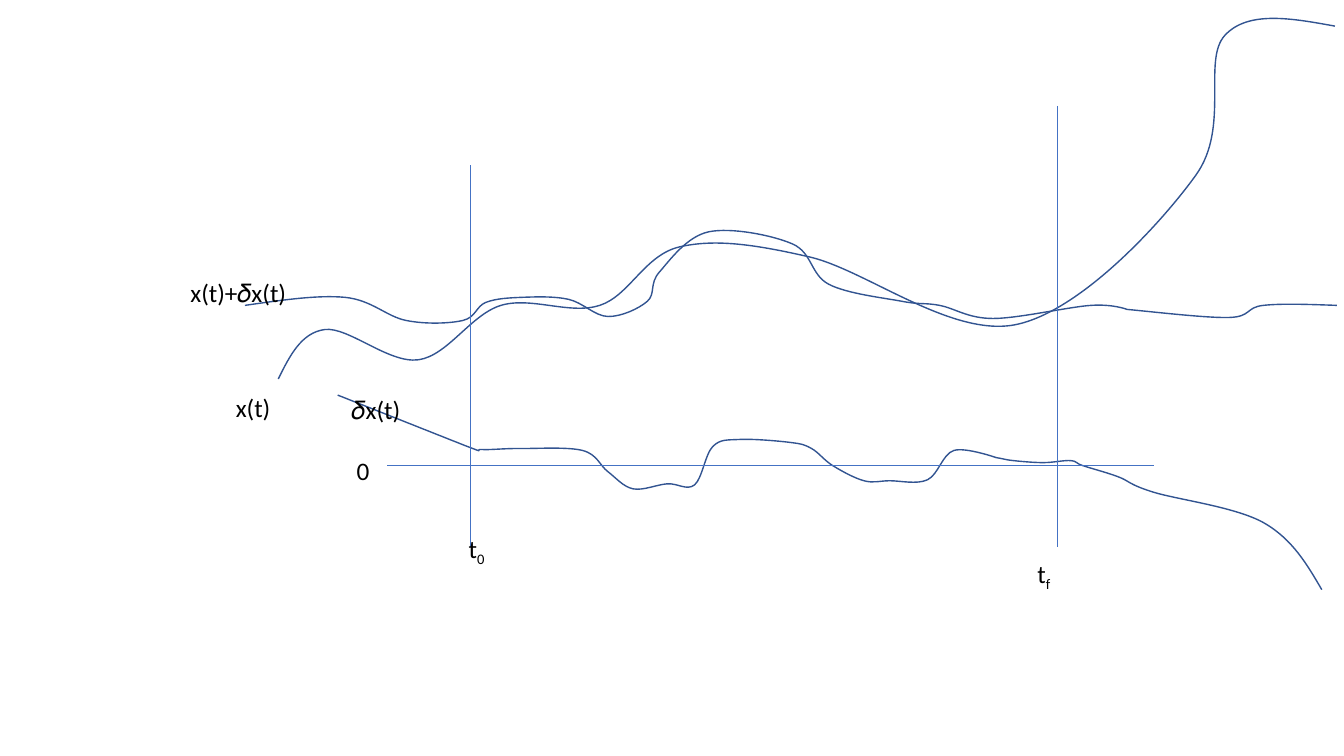
from pptx import Presentation
from pptx.dml.color import RGBColor
from pptx.enum.shapes import MSO_CONNECTOR as Connector
from pptx.enum.text import MSO_AUTO_SIZE as AutoSize
from pptx.oxml.xmlchemy import OxmlElement
from pptx.util import Inches, Pt

COLORS = {"axis": "4472C4", "curve": "325491", "text": "000000"}
FONT = "Calibri"
COLUMNS, ROWS = 1333, 750

STATE = [
    (276, 376), (322, 327), (415, 357), (497, 303), (595, 303), (674, 245),
    (803, 255), (1008, 322), (1186, 174), (1215, 35), (1324, 26),
]
PERTURBED_STATE = [
    (243, 303), (342, 295), (403, 318), (459, 318), (482, 300), (518, 295),
    (564, 297), (603, 314), (642, 299), (654, 270), (703, 230), (786, 242),
    (822, 282), (895, 299), (932, 303), (985, 316), (1082, 303), (1118, 307),
    (1219, 315), (1253, 303), (1326, 303),
]
PERTURBATION = [
    (335, 392), (461, 442), (478, 446), (516, 445), (578, 447), (603, 468),
    (628, 485), (662, 480), (689, 481), (707, 443), (734, 436), (784, 439),
    (805, 445), (826, 462), (857, 477), (882, 477), (920, 476), (946, 447),
    (988, 454), (1005, 457), (1035, 459), (1062, 457), (1074, 462),
    (1109, 473), (1143, 488), (1254, 519), (1311, 585),
]
CURVES = [
    (STATE, []),
    (PERTURBED_STATE, [(1118, 307)]),
    (PERTURBATION, [(461, 442), (988, 454)]),
]
AXES = [
    ((466.5, 164), (466.5, 543)),
    ((1049, 105), (1049, 543)),
    ((384, 462), (1145, 462)),
]
LABELS = [
    ("t", "0", 455, 524, 37),
    ("t", "f", 1019, 549, 34),
    ("x(t)", "", 224, 384, 55),
    ("x(t)+𝛿x(t)", "", 179, 270, 122),
    ("𝛿x(t)", "", 339, 386, 74),
    ("0", "", 344, 447, 33),
]
LABEL_HEIGHT = 40


def add_text(slide, text, left, top, width, height, subscript="", size=18, color="text"):
    shape = slide.shapes.add_textbox(left, top, width, height)
    frame = shape.text_frame
    frame.word_wrap = False
    frame.auto_size = AutoSize.SHAPE_TO_FIT_TEXT
    paragraph = frame.paragraphs[0]
    for part, baseline in ((text, 0), (subscript, -25000)):
        if not part:
            continue
        run = paragraph.add_run()
        run.text = part
        run.font.name = FONT
        run.font.size = Pt(size)
        run.font.color.rgb = RGBColor.from_string(COLORS[color])
        if baseline:
            run._r.get_or_add_rPr().set("baseline", str(baseline))


def set_line(shape, color, width):
    shape.line.color.rgb = RGBColor.from_string(COLORS[color])
    shape.line.width = Pt(width)


def midpoint(first, second):
    return (first[0] + second[0]) / 2, (first[1] + second[1]) / 2


def handle(knots, index, direction):
    before, knot, after = knots[index - 1:index + 2]
    return tuple(k + direction * (a - b) / 6 for b, k, a in zip(before, knot, after))


def bezier_points(knots, cusps):
    points = []
    last = len(knots) - 1
    for index in range(last):
        start, end = knots[index:index + 2]
        leaving = handle(knots, index, 1) if index > 0 else None
        if index + 1 == last:
            arriving = midpoint(leaving, end)
        elif end in cusps:
            arriving = end
        else:
            arriving = handle(knots, index + 1, -1)
        points += [leaving or midpoint(start, arriving), arriving, end]
    return points


def add_curve(slide, knots, cusps, place):
    builder = slide.shapes.build_freeform(*place(knots[0]))
    points = [place(point) for point in bezier_points(knots, cusps)]
    builder.add_line_segments(points, close=False)
    shape = builder.convert_to_shape()
    shape.fill.background()
    shape.shadow.inherit = False
    set_line(shape, "curve", 1)
    segments = shape._element.xpath(".//a:lnTo")
    for index in range(0, len(segments), 3):
        bezier = OxmlElement("a:cubicBezTo")
        segments[index].addprevious(bezier)
        for segment in segments[index:index + 3]:
            bezier.append(segment[0])
            segment.getparent().remove(segment)


def add_axis(slide, start, end):
    connector = slide.shapes.add_connector(Connector.STRAIGHT, *start, *end)
    set_line(connector, "axis", 0.5)
    connector._element.spPr.append(OxmlElement("a:effectLst"))


def add_trajectory_diagram(slide, left, top, width, height):
    column, row = width / COLUMNS, height / ROWS

    def place(point):
        return round(left + point[0] * column), round(top + point[1] * row)

    for knots, cusps in CURVES:
        add_curve(slide, knots, cusps, place)
    for start, end in AXES:
        add_axis(slide, place(start), place(end))
    for text, subscript, x, y, columns in LABELS:
        add_text(slide, text, *place((x, y)), round(columns * column),
                 round(LABEL_HEIGHT * row), subscript=subscript)


def main():
    presentation = Presentation()
    presentation.slide_width = Inches(13.33)
    presentation.slide_height = Inches(7.5)
    slide = presentation.slides.add_slide(presentation.slide_layouts[6])
    add_trajectory_diagram(slide, 0, 0, presentation.slide_width, presentation.slide_height)
    presentation.save("out.pptx")


if __name__ == "__main__":
    main()
